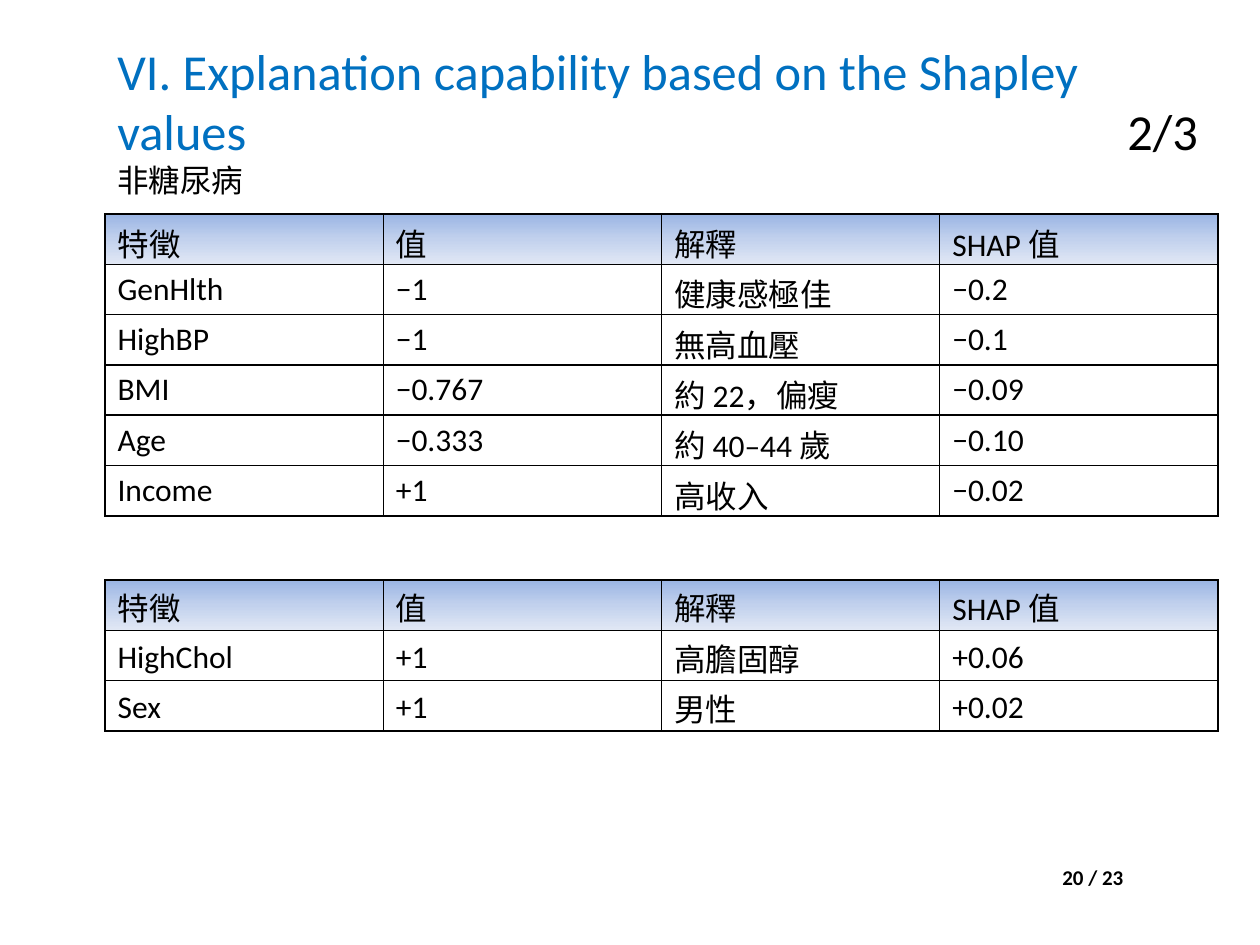
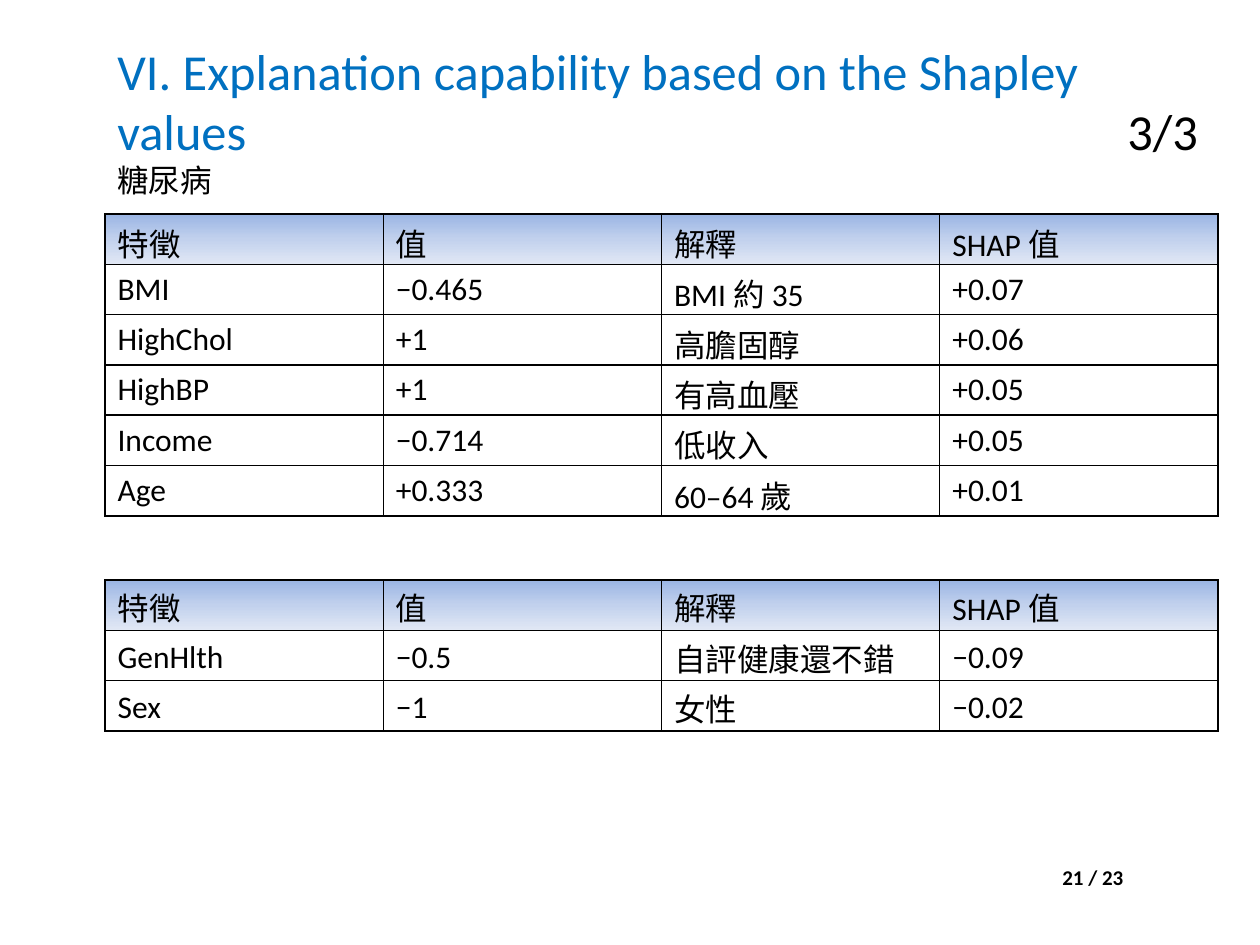
import pptx
import pptx.dml.color
import pptx.enum.text
import pptx.oxml.ns
import pptx.util
from lxml import etree

# Shared style
BLUE = pptx.dml.color.RGBColor(0x00, 0x70, 0xC0)
BLACK = pptx.dml.color.RGBColor(0x00, 0x00, 0x00)
HEADER_STOPS = (
    (0, pptx.dml.color.RGBColor(0x9A, 0xB5, 0xE4)),
    (50, pptx.dml.color.RGBColor(0xC2, 0xD1, 0xED)),
    (100, pptx.dml.color.RGBColor(0xE1, 0xE8, 0xF5)),
)
FONT = "Calibri"
SCALE = 914400 / 126
LEFT = 105
HEADINGS = ("特徵", "值", "解釋", "SHAP 值")
TITLE = "VI. Explanation capability based on the Shapley values"
PAGE_COUNT = 23


def px(length):
    return pptx.util.Emu(round(length * SCALE))


def add_xml(parent, tag, **attributes):
    return etree.SubElement(parent, pptx.oxml.ns.qn(tag), attributes)


def add_text(para, text, size=18, color=BLACK, bold=False):
    span = para.add_run()
    span.text = text
    span.font.name = FONT
    span.font.size = pptx.util.Pt(size)
    span.font.color.rgb = color
    span.font.bold = bold


class ShapDeck:
    def __init__(self):
        self.deck = pptx.Presentation()
        self.deck.slide_width = px(1260)
        self.deck.slide_height = px(945)
        self.page = None

    def add_page(self):
        self.page = self.deck.slides.add_slide(self.deck.slide_layouts[6])

    def add_box(self, left, top, width, height, wrap=True):
        box = self.page.shapes.add_textbox(px(left), px(top), px(width), px(height))
        box.text_frame.word_wrap = wrap
        return box.text_frame

    def add_title(self, part):
        frame = self.add_box(LEFT, 37, 1120, 127)
        frame.vertical_anchor = pptx.enum.text.MSO_ANCHOR.MIDDLE
        para = frame.paragraphs[0]
        tabs = add_xml(para._p.get_or_add_pPr(), "a:tabLst")
        add_xml(tabs, "a:tab", pos=str(px(1010)), algn="l")
        add_text(para, TITLE + "\t", size=28.8, color=BLUE)
        add_text(para, part, size=28.8)

    def add_label(self, text, left, top, width, height, wrap=True, **style):
        frame = self.add_box(left, top, width, height, wrap)
        frame.auto_size = pptx.enum.text.MSO_AUTO_SIZE.SHAPE_TO_FIT_TEXT
        add_text(frame.paragraphs[0], text, **style)

    def add_table(self, top, height, body, pad_top=6, pad_bottom=6):
        rows = (HEADINGS, *body)
        shape = self.page.shapes.add_table(
            len(rows), len(HEADINGS), px(LEFT), px(top), px(1113), px(height))
        table = shape.table
        table.first_row = False
        table.horz_banding = False
        for row_index, row in enumerate(rows):
            for column_index, text in enumerate(row):
                cell = table.cell(row_index, column_index)
                cell.vertical_anchor = pptx.enum.text.MSO_ANCHOR.MIDDLE
                cell.margin_top = px(pad_top)
                cell.margin_bottom = px(pad_bottom)
                add_text(cell.text_frame.paragraphs[0], text)
                self.style_cell(cell, header=row_index == 0)

    def style_cell(self, cell, header):
        properties = cell._tc.get_or_add_tcPr()
        # Borders come before the fill
        for side in ("a:lnL", "a:lnR", "a:lnT", "a:lnB"):
            line = add_xml(properties, side, w=str(pptx.util.Pt(1)))
            add_xml(add_xml(line, "a:solidFill"), "a:srgbClr", val=str(BLACK))
        if not header:
            add_xml(properties, "a:noFill")
            return
        gradient = add_xml(properties, "a:gradFill", rotWithShape="1")
        stops = add_xml(gradient, "a:gsLst")
        for percent, color in HEADER_STOPS:
            stop = add_xml(stops, "a:gs", pos=str(percent * 1000))
            add_xml(stop, "a:srgbClr", val=str(color))
        add_xml(gradient, "a:lin", ang=str(90 * 60000), scaled="0")

    def add_case(self, part, number, group, group_width, main_rows, opposing_rows):
        self.add_page()
        self.add_title(part)
        self.add_table(214, 302, main_rows)
        self.add_label(f"{number} / {PAGE_COUNT}", 1050, 858, 175, 38, size=12, bold=True)
        self.add_table(580, 151, opposing_rows, pad_top=4, pad_bottom=0)
        self.add_label(group, LEFT, 155, group_width, 50, wrap=False)


def main():
    shap = ShapDeck()

    # Without diabetes
    shap.add_case(
        "2/3", 20, "非糖尿病", 152,
        (
            ("GenHlth", "−1", "健康感極佳", "−0.2"),
            ("HighBP", "−1", "無高血壓", "−0.1"),
            ("BMI", "−0.767", "約 22，偏瘦", "−0.09"),
            ("Age", "−0.333", "約 40–44 歲", "−0.10"),
            ("Income", "+1", "高收入", "−0.02"),
        ),
        (
            ("HighChol", "+1", "高膽固醇", "+0.06"),
            ("Sex", "+1", "男性", "+0.02"),
        ),
    )

    # With diabetes
    shap.add_case(
        "3/3", 21, "糖尿病", 121,
        (
            ("BMI", "−0.465", "BMI 約 35", "+0.07"),
            ("HighChol", "+1", "高膽固醇", "+0.06"),
            ("HighBP", "+1", "有高血壓", "+0.05"),
            ("Income", "−0.714", "低收入", "+0.05"),
            ("Age", "+0.333", "60–64 歲", "+0.01"),
        ),
        (
            ("GenHlth", "−0.5", "自評健康還不錯", "−0.09"),
            ("Sex", "−1", "女性", "−0.02"),
        ),
    )

    shap.deck.save("out.pptx")


if __name__ == "__main__":
    main()
